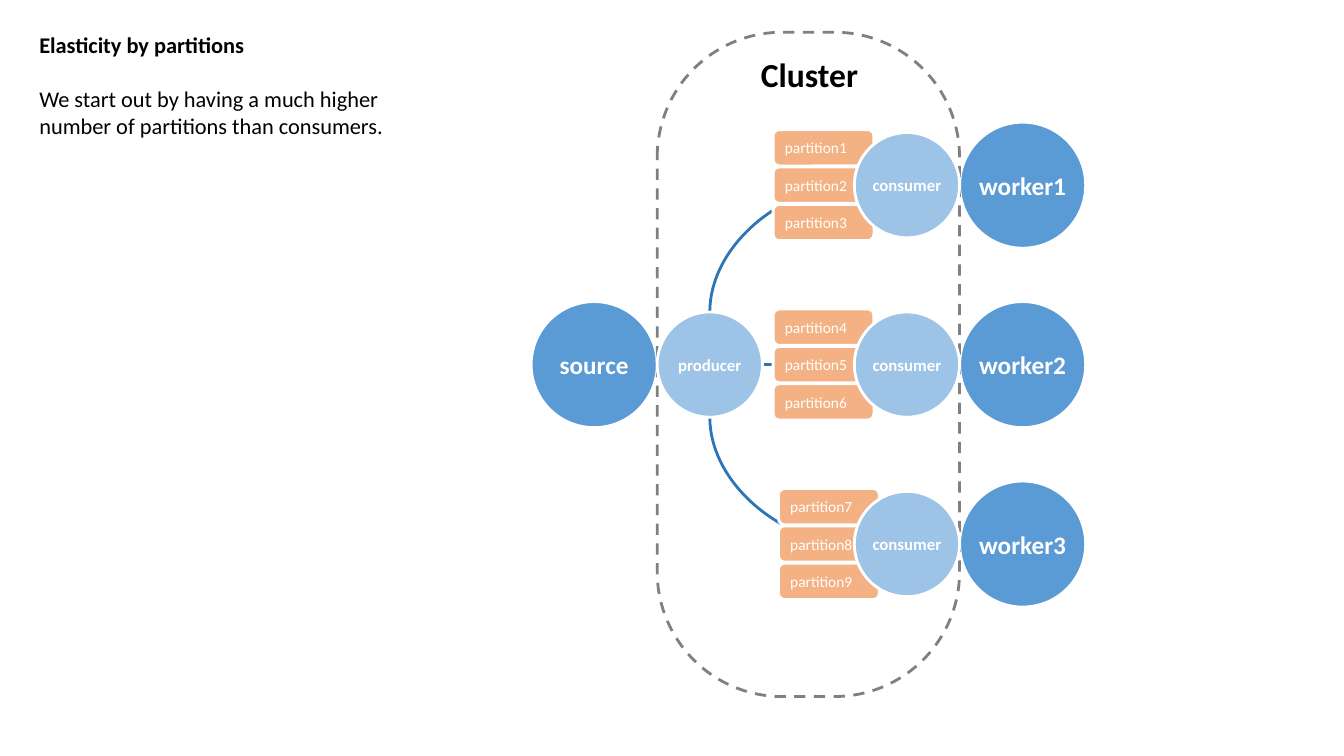
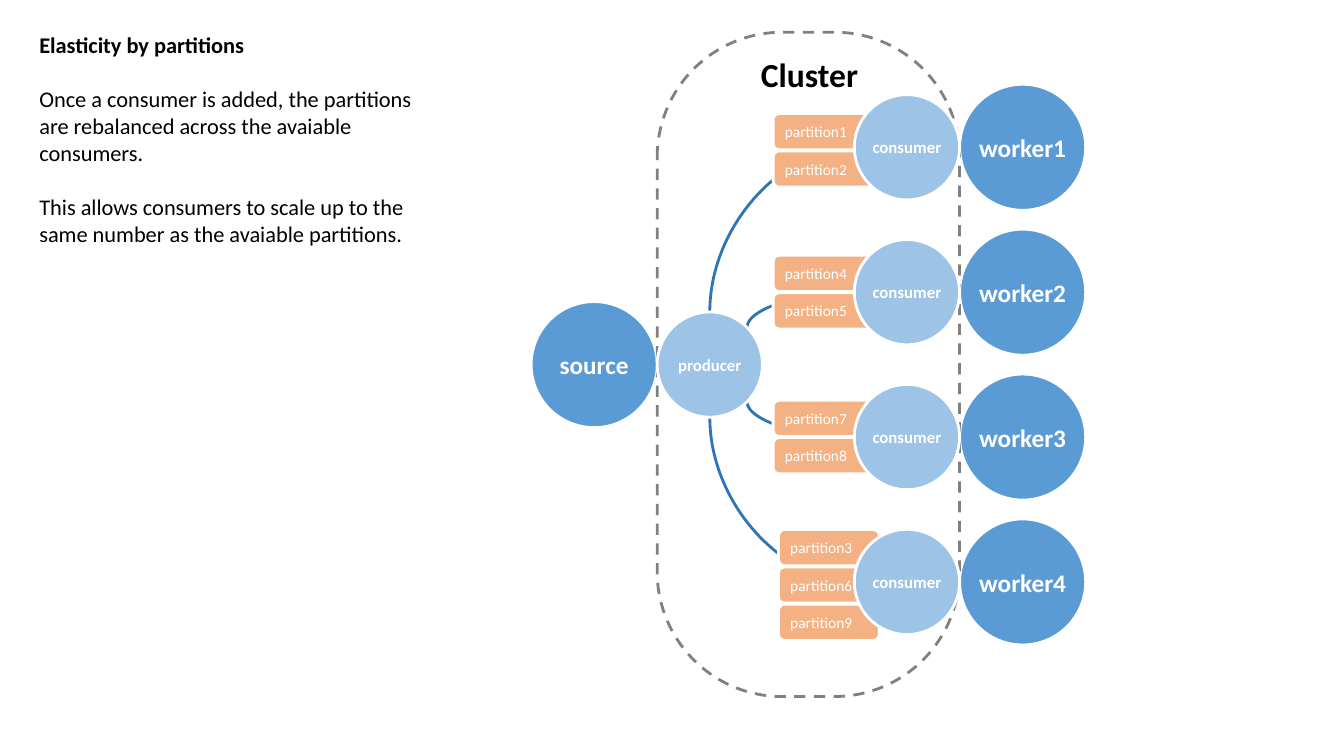
from dataclasses import dataclass
from math import cos, radians, sin

from pptx import Presentation
from pptx.dml.color import RGBColor
from pptx.enum.dml import MSO_LINE
from pptx.enum.shapes import MSO_CONNECTOR as Connector, MSO_SHAPE as Preset
from pptx.enum.text import MSO_ANCHOR as Anchor, PP_ALIGN as Align
from pptx.oxml.ns import qn
from pptx.oxml.xmlchemy import OxmlElement
from pptx.shapes.autoshape import Shape
from pptx.slide import Slide
from pptx.text.text import TextFrame, _Paragraph as Paragraph
from pptx.util import Emu, Inches, Pt

BLUE = RGBColor(0x5B, 0x9B, 0xD5)
LIGHT_BLUE = RGBColor(0x9D, 0xC3, 0xE6)
LINK_BLUE = RGBColor(0x2E, 0x75, 0xB6)
ORANGE = RGBColor(0xF4, 0xB1, 0x83)
GRAY = RGBColor(0x80, 0x80, 0x80)
WHITE = RGBColor(0xFF, 0xFF, 0xFF)
BLACK = RGBColor(0x00, 0x00, 0x00)
FONT = "Calibri"

SLIDE_WIDTH = Emu(12192000)
SLIDE_HEIGHT = Inches(7.5)
CELL = SLIDE_WIDTH // 100  # the grid has 100 columns of square cells

# All lengths below are in grid cells.
CLUSTER_LEFT, CLUSTER_TOP = 48.9, 2.4
CLUSTER_WIDTH, CLUSTER_HEIGHT = 22.5, 49.43
CLUSTER_RIGHT = CLUSTER_LEFT + CLUSTER_WIDTH
MIDDLE = 27.13
NODE_SIZE, CLIENT_SIZE = 9.38, 7.83
PRODUCER_X = CLUSTER_LEFT + CLIENT_SIZE / 2
CONSUMER_X = CLUSTER_RIGHT - CLIENT_SIZE / 2
CONSUMER_LEFT = CLUSTER_RIGHT - CLIENT_SIZE
PARTITION_LEFT, PARTITION_WIDTH = 57.53, 7.5
PARTITION_HEIGHT, PARTITION_PITCH = 2.7, 2.78
NOTE_LEFT, NOTE_TOP, NOTE_HEIGHT, NOTE_INSET = 1.73, 1.13, 22.8, 1.2


@dataclass(frozen=True)
class CircleStyle:
    """Look of a round node."""
    size: float
    fill: RGBColor
    font_size: int


@dataclass(frozen=True)
class Lane:
    """A consumer with its partitions and the angle where its link leaves the producer."""
    partitions: tuple[int, ...]
    link_angle: int
    shift_right: float = 0
    shift_down: float = 0


@dataclass(frozen=True)
class Diagram:
    """The content of one slide."""
    notes: tuple[str, ...]
    note_width: float
    lane_pitch: float
    lanes: tuple[Lane, ...]


NODE = CircleStyle(NODE_SIZE, BLUE, 18)
CLIENT = CircleStyle(CLIENT_SIZE, LIGHT_BLUE, 12)

DIAGRAMS = (
    Diagram(
        ("We start out by having a much higher number of partitions than consumers.",),
        31.43, 13.35,
        (Lane((1, 2, 3), 90), Lane((4, 5, 6), 0), Lane((7, 8, 9), -90, 0.4)),
    ),
    Diagram(
        ("Once a consumer is added, the partitions are rebalanced across the avaiable consumers.",
         "This allows consumers to scale up to the same number as the avaiable partitions."),
        31.95, 10.78,
        (Lane((1, 2), 90, 0, 0.23), Lane((4, 5), 45), Lane((7, 8), -45),
         Lane((3, 6, 9), -90, 0.4, 0.23)),
    ),
)


def cells(count: float) -> Emu:
    """Turn grid cells into a length."""
    return Emu(round(count * CELL))


def set_font(paragraph: Paragraph, size: int, color: RGBColor, bold: bool = False) -> None:
    """Set the font of a whole paragraph."""
    font = paragraph.font
    font.name, font.size, font.bold = FONT, Pt(size), bold
    font.color.rgb = color


def set_insets(frame: TextFrame, inset: float) -> None:
    """Give all four sides of a text frame the same inset."""
    frame.margin_left = frame.margin_top = cells(inset)
    frame.margin_right = frame.margin_bottom = cells(inset)


def add_box(slide: Slide, preset: Preset, left: float, top: float, width: float,
            height: float, fill: RGBColor | None, line: RGBColor) -> Shape:
    """Add an outlined shape, unfilled when fill is None."""
    shape = slide.shapes.add_shape(preset, cells(left), cells(top), cells(width), cells(height))
    shape.shadow.inherit = False
    if fill is None:
        shape.fill.background()
    else:
        shape.fill.solid()
        shape.fill.fore_color.rgb = fill
    shape.line.color.rgb = line
    shape.line.width = Pt(2)
    return shape


def add_circle(slide: Slide, text: str, x: float, y: float, style: CircleStyle) -> None:
    """Add a labelled circle centred on x, y."""
    size = style.size
    shape = add_box(slide, Preset.OVAL, x - size / 2, y - size / 2, size, size, style.fill, WHITE)
    frame = shape.text_frame
    set_insets(frame, 0)
    frame.vertical_anchor = Anchor.MIDDLE
    paragraph = frame.paragraphs[0]
    paragraph.text, paragraph.alignment = text, Align.CENTER
    set_font(paragraph, style.font_size, WHITE, bold=True)


def add_partitions(slide: Slide, lane: Lane, y: float) -> None:
    """Stack the partitions of a lane around its centre line."""
    stack_height = PARTITION_PITCH * (len(lane.partitions) - 1) + PARTITION_HEIGHT
    top = y + lane.shift_down - stack_height / 2
    for index, number in enumerate(lane.partitions):
        shape = add_box(slide, Preset.ROUNDED_RECTANGLE, PARTITION_LEFT + lane.shift_right,
                        top + index * PARTITION_PITCH, PARTITION_WIDTH, PARTITION_HEIGHT,
                        ORANGE, WHITE)
        shape.text_frame.vertical_anchor = Anchor.MIDDLE
        paragraph = shape.text_frame.paragraphs[0]
        paragraph.text, paragraph.alignment = f"partition{number}", Align.LEFT
        set_font(paragraph, 11, WHITE)


def add_link(slide: Slide, angle: int, end_y: float) -> None:
    """Draw an arrow from the producer's rim to the left side of a consumer."""
    start_x = PRODUCER_X + CLIENT_SIZE / 2 * cos(radians(angle))
    start_y = MIDDLE - CLIENT_SIZE / 2 * sin(radians(angle))
    if angle == 0:
        kind, ends = Connector.STRAIGHT, (start_x, start_y, CONSUMER_LEFT, end_y)
    else:
        # The quarter curve is laid out sideways, then turned about its centre.
        kind = Connector.CURVE
        x, y = (start_x + CONSUMER_LEFT) / 2, (start_y + end_y) / 2
        half_rise = abs(end_y - start_y) / 2
        half_run = (CONSUMER_LEFT - start_x) / 2 * (1 if angle > 0 else -1)
        ends = (x + half_rise, y + half_run, x - half_rise, y - half_run)
    connector = slide.shapes.add_connector(kind, *map(cells, ends))
    connector.line.color.rgb = LINK_BLUE
    connector.line.width = Pt(2)
    properties = connector.element.spPr
    if angle != 0:
        properties.find(qn("a:prstGeom")).set("prst", "curvedConnector2")
        turn = 90 if angle > 0 else 270
        properties.find(qn("a:xfrm")).set("rot", str(turn * 60000))
    arrowhead = OxmlElement("a:tailEnd")
    arrowhead.set("type", "arrow")
    properties.find(qn("a:ln")).append(arrowhead)
    properties.append(OxmlElement("a:effectLst"))


def add_cluster(slide: Slide) -> None:
    """Draw the dashed cluster outline and its label."""
    outline = add_box(slide, Preset.ROUNDED_RECTANGLE, CLUSTER_LEFT, CLUSTER_TOP,
                      CLUSTER_WIDTH, CLUSTER_HEIGHT, None, GRAY)
    outline.adjustments[0] = 0.413
    outline.line.dash_style = MSO_LINE.DASH
    label = slide.shapes.add_textbox(cells(55.88), cells(3.68), cells(11.55), cells(3.75))
    label.text_frame.word_wrap = True
    paragraph = label.text_frame.paragraphs[0]
    paragraph.text = "Cluster"
    set_font(paragraph, 24, BLACK, bold=True)


def add_notes_text(slide: Slide, diagram: Diagram) -> None:
    """Write the heading and the explanation at the left."""
    box = slide.shapes.add_textbox(cells(NOTE_LEFT), cells(NOTE_TOP),
                                   cells(diagram.note_width), cells(NOTE_HEIGHT))
    frame = box.text_frame
    frame.word_wrap = True
    set_insets(frame, NOTE_INSET)
    heading = frame.paragraphs[0]
    heading.text = "Elasticity by partitions"
    set_font(heading, 16, BLACK, bold=True)
    for note in diagram.notes:
        paragraph = frame.add_paragraph()
        paragraph.text = note
        paragraph.space_before = Pt(19.5)
        set_font(paragraph, 16, BLACK)


def add_diagram(presentation: Presentation, diagram: Diagram) -> None:
    """Build one slide, from back to front."""
    slide = presentation.slides.add_slide(presentation.slide_layouts[6])
    middle_lane = (len(diagram.lanes) - 1) / 2
    rows = [(MIDDLE + (index - middle_lane) * diagram.lane_pitch, lane)
            for index, lane in enumerate(diagram.lanes)]
    add_circle(slide, "source", CLUSTER_LEFT - NODE_SIZE / 2, MIDDLE, NODE)
    for number, (y, lane) in enumerate(rows, start=1):
        add_circle(slide, f"worker{number}", CLUSTER_RIGHT + NODE_SIZE / 2, y, NODE)
        add_link(slide, lane.link_angle, y)
    add_cluster(slide)
    add_circle(slide, "producer", PRODUCER_X, MIDDLE, CLIENT)
    add_notes_text(slide, diagram)
    for y, lane in rows:
        add_partitions(slide, lane, y)
        add_circle(slide, "consumer", CONSUMER_X, y, CLIENT)


def main() -> None:
    """Build and save the presentation."""
    presentation = Presentation()
    presentation.slide_width, presentation.slide_height = SLIDE_WIDTH, SLIDE_HEIGHT
    for diagram in DIAGRAMS:
        add_diagram(presentation, diagram)
    presentation.save("out.pptx")


main()
